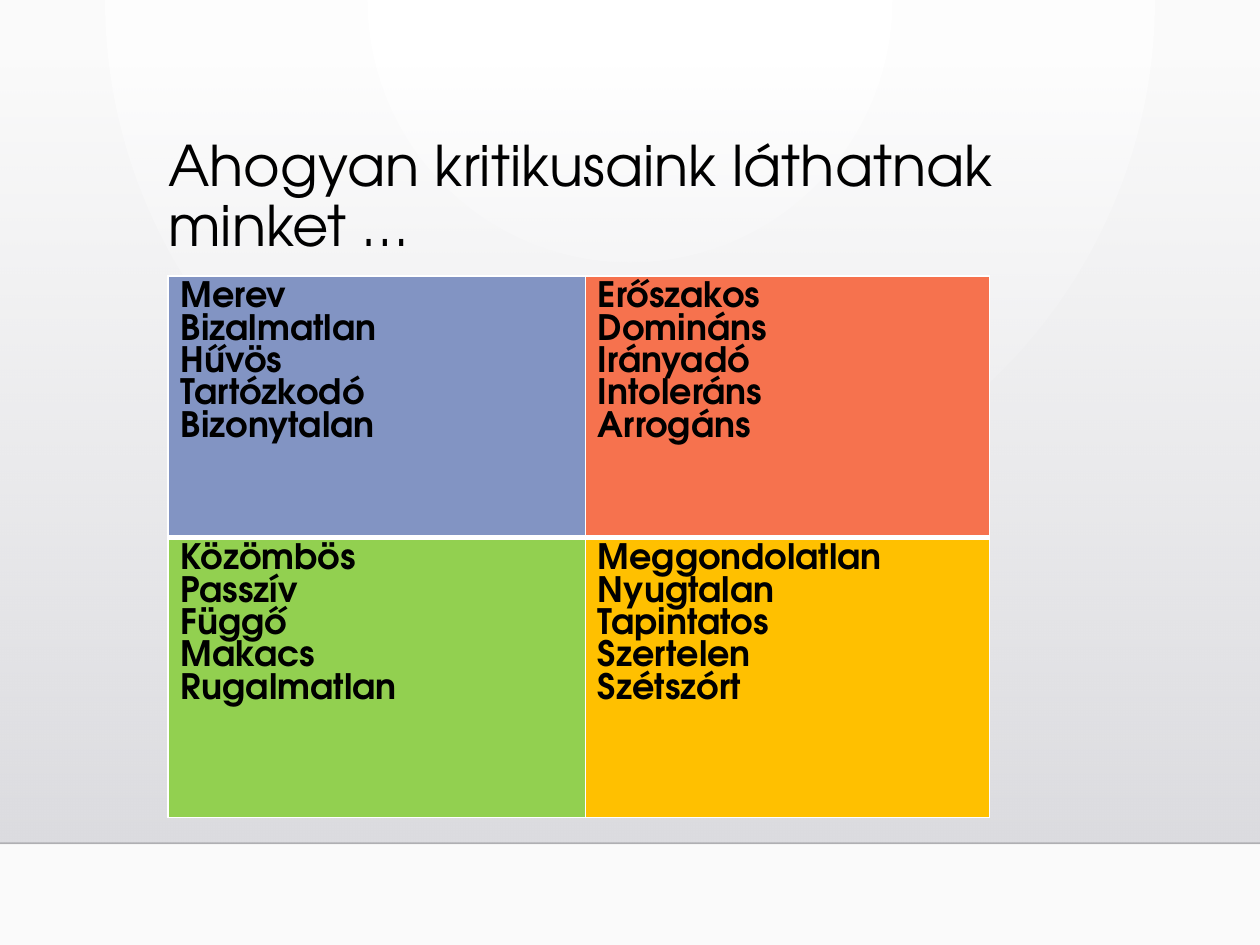
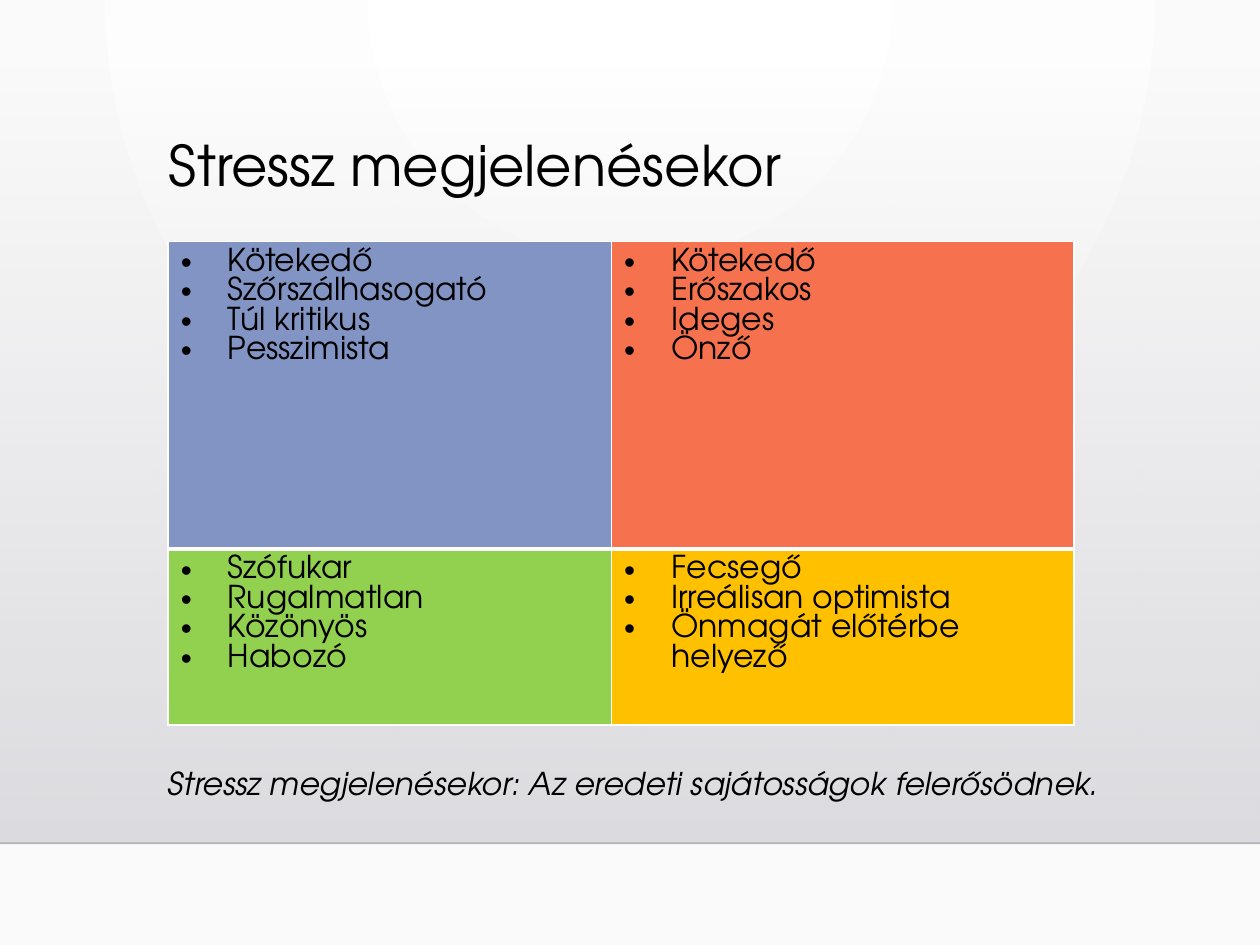
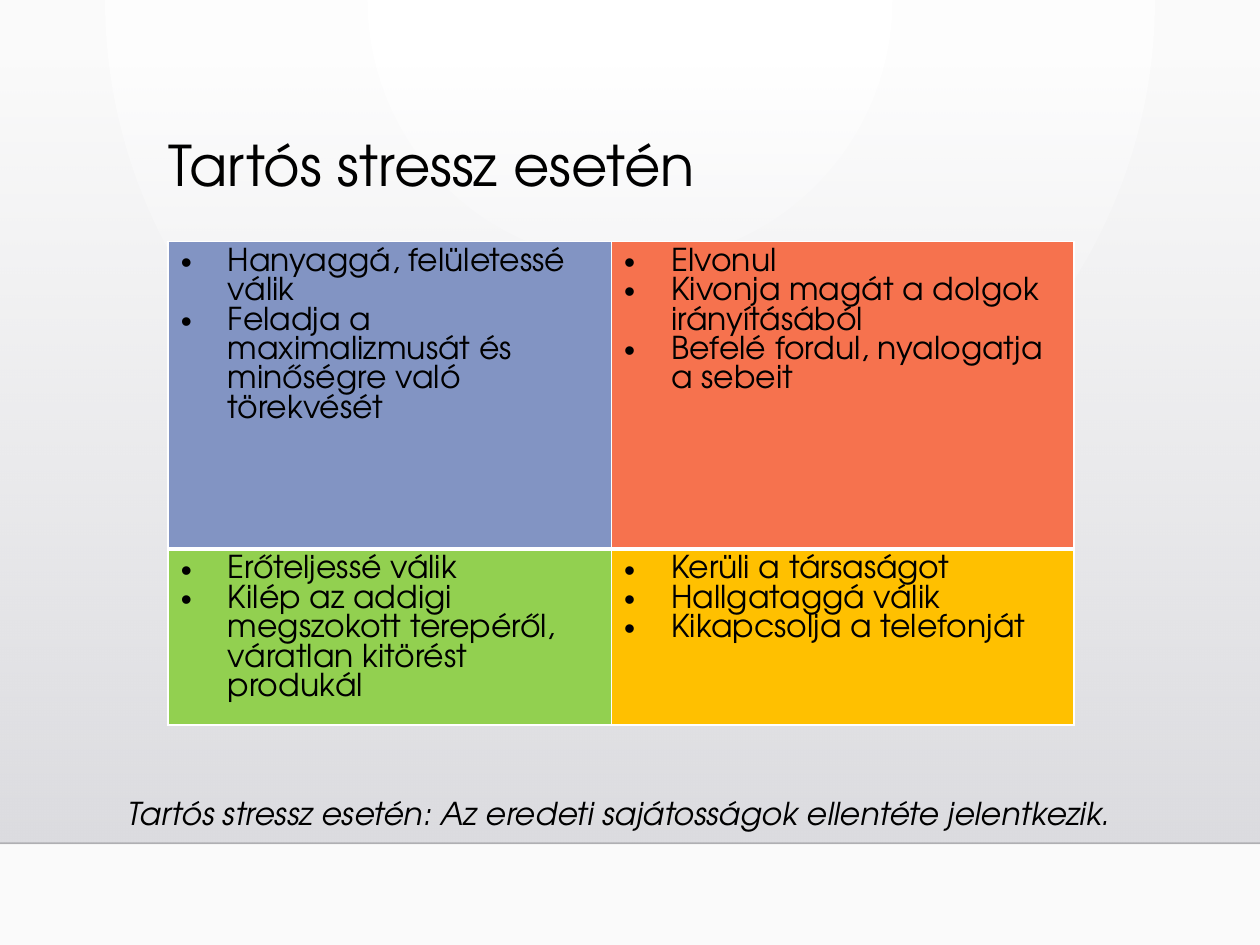
from lxml import etree
from pptx import Presentation
from pptx.dml.color import RGBColor
from pptx.enum.shapes import MSO_CONNECTOR, MSO_SHAPE
from pptx.enum.text import MSO_ANCHOR, MSO_AUTO_SIZE, PP_ALIGN
from pptx.oxml import parse_xml
from pptx.oxml.ns import nsdecls, qn
from pptx.util import Cm, Pt

LEFT = PP_ALIGN.LEFT
TOP = MSO_ANCHOR.TOP
NO_FIT = MSO_AUTO_SIZE.NONE
RECT = MSO_SHAPE.RECTANGLE
STRAIGHT = MSO_CONNECTOR.STRAIGHT

FONT = "TeX Gyre Adventor"
WIDE, HIGH = 25.4, 19.05
INK, WHITE = "000000", "FFFFFF"
TINTS = [["8294C3", "F6724E"], ["92D050", "FFC000"]]


def paint(code):
    return RGBColor.from_string(code)


def put(frame, lines, size=18, bold=False, italic=False, space=None, bullet=False):
    frame.word_wrap = True
    for i, line in enumerate(lines):
        para = frame.add_paragraph() if i else frame.paragraphs[0]
        para.alignment = LEFT
        para.line_spacing = space
        run = para.add_run()
        run.text = line
        font = run.font
        font.name, font.size = FONT, Pt(size)
        font.bold, font.italic = bold, italic
        font.color.rgb = paint(INK)
        if bullet:
            props = para._p.get_or_add_pPr()
            props.set("marL", str(Cm(0.95)))
            props.set("indent", str(-Cm(0.95)))
            etree.SubElement(props, qn("a:buFont"), typeface="Arial")
            etree.SubElement(props, qn("a:buChar"), char="•")


def blend(fill, root, first, last, shape, alpha=100):
    fill.solid()
    old = next(root.iter(qn("a:solidFill")))
    new = parse_xml(
        f'<a:gradFill {nsdecls("a")} rotWithShape="1"><a:gsLst>'
        f'<a:gs pos="0"><a:srgbClr val="{first}"><a:alpha val="{alpha * 1000}"/></a:srgbClr></a:gs>'
        f'<a:gs pos="100000"><a:srgbClr val="{last}"/></a:gs>'
        f'</a:gsLst>{shape}</a:gradFill>')
    old.getparent().replace(old, new)


def edge(side, width):
    line = etree.Element(qn(f"a:{side}"), w=str(Pt(width)))
    fill = etree.SubElement(line, qn("a:solidFill"))
    etree.SubElement(fill, qn("a:srgbClr"), val=WHITE)
    return line


class Deck:
    """Holds the shared style and the current slide."""

    def __init__(self):
        self.prs = Presentation()
        self.prs.slide_width, self.prs.slide_height = Cm(WIDE), Cm(HIGH)
        self.slide = None

    def start(self, title, width):
        fresh = self.slide is None
        self.slide = self.prs.slides.add_slide(self.prs.slide_layouts[5])
        if fresh:
            self.back()
        head = self.slide.shapes.title
        head.left, head.top, head.width, head.height = Cm(3.14), Cm(2.65), Cm(width), Cm(2.92)
        frame = head.text_frame
        frame.auto_size, frame.vertical_anchor = NO_FIT, TOP
        put(frame, [title], size=32, space=0.9)

    def back(self):
        master = self.prs.slide_master
        blend(master.background.fill, master.element, WHITE, "FAFAFA",
              '<a:path path="circle"><a:fillToRect l="43000" t="0" r="43000" b="100000"/></a:path>')
        shapes = self.slide.shapes
        band = shapes.add_shape(RECT, 0, Cm(1.3), Cm(WIDE), Cm(15.7))
        band.shadow.inherit = False
        band.line.fill.background()
        blend(band.fill, band.element, "DCDCE0", "DEDEE2", '<a:lin ang="5400000" scaled="0"/>', alpha=0)
        rule = shapes.add_connector(STRAIGHT, 0, Cm(17), Cm(WIDE), Cm(17))
        rule.line.width = Pt(1)
        rule.line.color.rgb = paint("000001")
        tone = next(rule.element.iter(qn("a:srgbClr")))
        etree.SubElement(tone, qn("a:alpha"), val="20000")
        etree.SubElement(rule.element.spPr, qn("a:effectLst"))
        for i, part in enumerate((band, rule)):
            part.element.xpath("./*/p:cNvPr")[0].set("id", str(101 + i))
            master.shapes.element.insert(2 + i, part.element)

    def grid(self, top, cols, rows, words, **style):
        table = self.slide.shapes.add_table(
            2, 2, Cm(3.39), Cm(top), Cm(sum(cols)), Cm(sum(rows))).table
        table.first_row = table.horz_banding = False
        for i in range(2):
            table.columns[i].width = Cm(cols[i])
            table.rows[i].height = Cm(rows[i])
        for r, row in enumerate(words):
            for c, lines in enumerate(row):
                cell = table.cell(r, c)
                put(cell.text_frame, lines, **style)
                cell.fill.solid()
                cell.fill.fore_color.rgb = paint(TINTS[r][c])
                props = cell._tc.get_or_add_tcPr()
                widths = {"lnL": 1, "lnR": 1, "lnT": 3 if r else 1, "lnB": 1 if r else 3}
                for i, (side, width) in enumerate(widths.items()):
                    props.insert(i, edge(side, width))

    def note(self, text, left, top, width):
        box = self.slide.shapes.add_textbox(Cm(left), Cm(top), Cm(width), Cm(1.02))
        put(box.text_frame, [text], italic=True)


def main():
    deck = Deck()
    stress = {"top": 4.87, "cols": (8.94, 9.32), "rows": (6.2, 3.55), "bullet": True}

    deck.start("Ahogyan kritikusaink láthatnak minket …", 19.94)
    deck.grid(5.56, (8.41, 8.15), (5.28, 5.64), [
        [["Merev", "Bizalmatlan", "Hűvös", "Tartózkodó", "Bizonytalan"],
         ["Erőszakos", "Domináns", "Irányadó", "Intoleráns", "Arrogáns"]],
        [["Közömbös", "Passzív", "Függő", "Makacs", "Rugalmatlan"],
         ["Meggondolatlan", "Nyugtalan", "Tapintatos", "Szertelen", "Szétszórt"]],
    ], size=20, bold=True)

    deck.start("Stressz megjelenésekor", 18.26)
    deck.grid(words=[
        [["Kötekedő", "Szőrszálhasogató", "Túl kritikus", "Pesszimista"],
         ["Kötekedő", "Erőszakos", "Ideges", "Önző"]],
        [["Szófukar", "Rugalmatlan", "Közönyös", "Habozó"],
         ["Fecsegő", "Irreálisan optimista", "Önmagát előtérbe helyező"]],
    ], **stress)
    deck.note("Stressz megjelenésekor: Az eredeti sajátosságok felerősödnek.", 3.13, 15.28, 19.69)

    deck.start("Tartós stressz esetén", 18.26)
    deck.grid(words=[
        [["Hanyaggá, felületessé válik",
          "Feladja a maximalizmusát és minőségre való törekvését"],
         ["Elvonul", "Kivonja magát a dolgok irányításából",
          "Befelé fordul, nyalogatja a sebeit"]],
        [["Erőteljessé válik",
          "Kilép az addigi megszokott terepéről, váratlan kitörést produkál"],
         ["Kerüli a társaságot", "Hallgataggá válik", "Kikapcsolja a telefonját"]],
    ], **stress)
    deck.note("Tartós stressz esetén: Az eredeti sajátosságok ellentéte jelentkezik.", 2.33, 15.88, 21.84)

    deck.prs.save("out.pptx")


if __name__ == "__main__":
    main()
